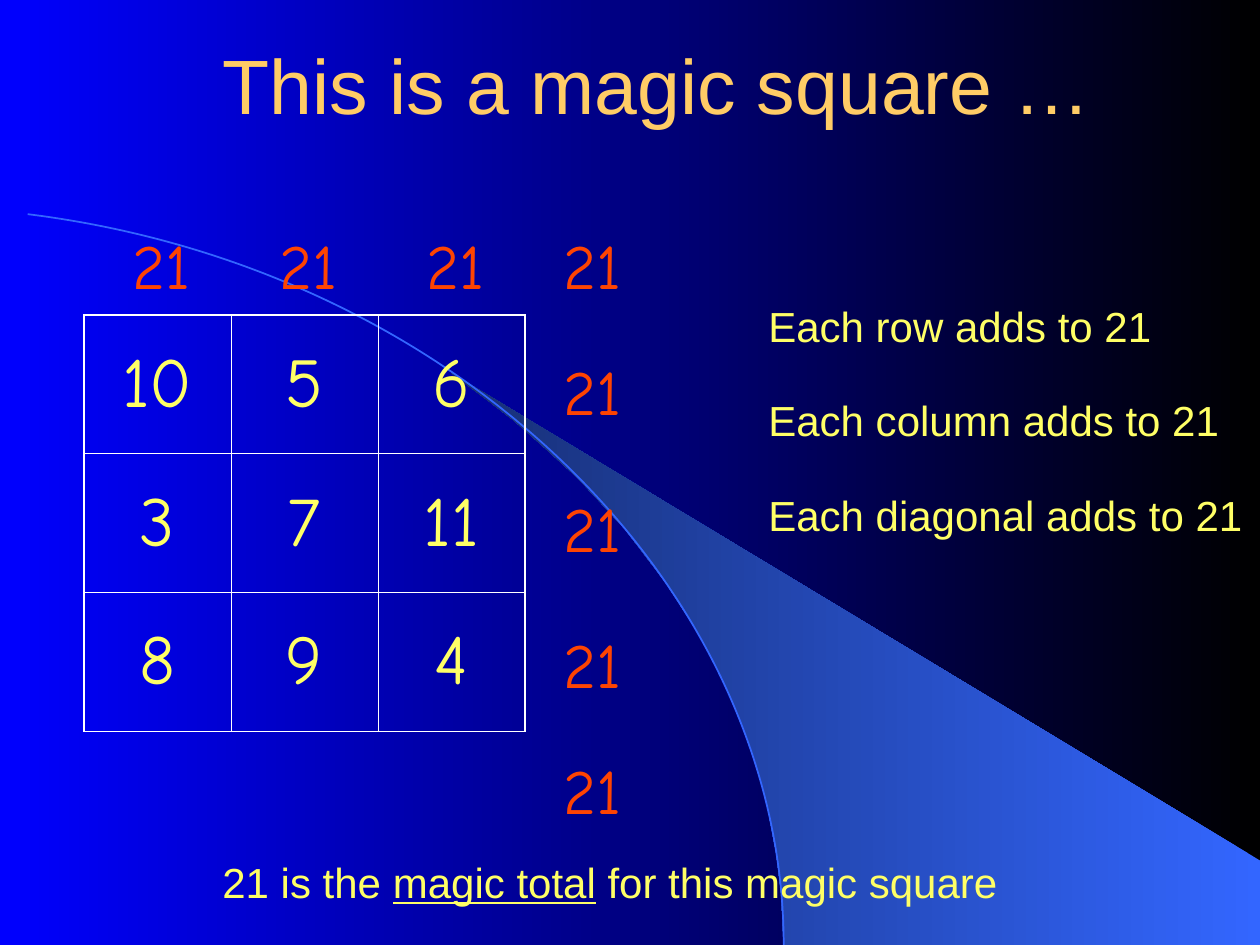
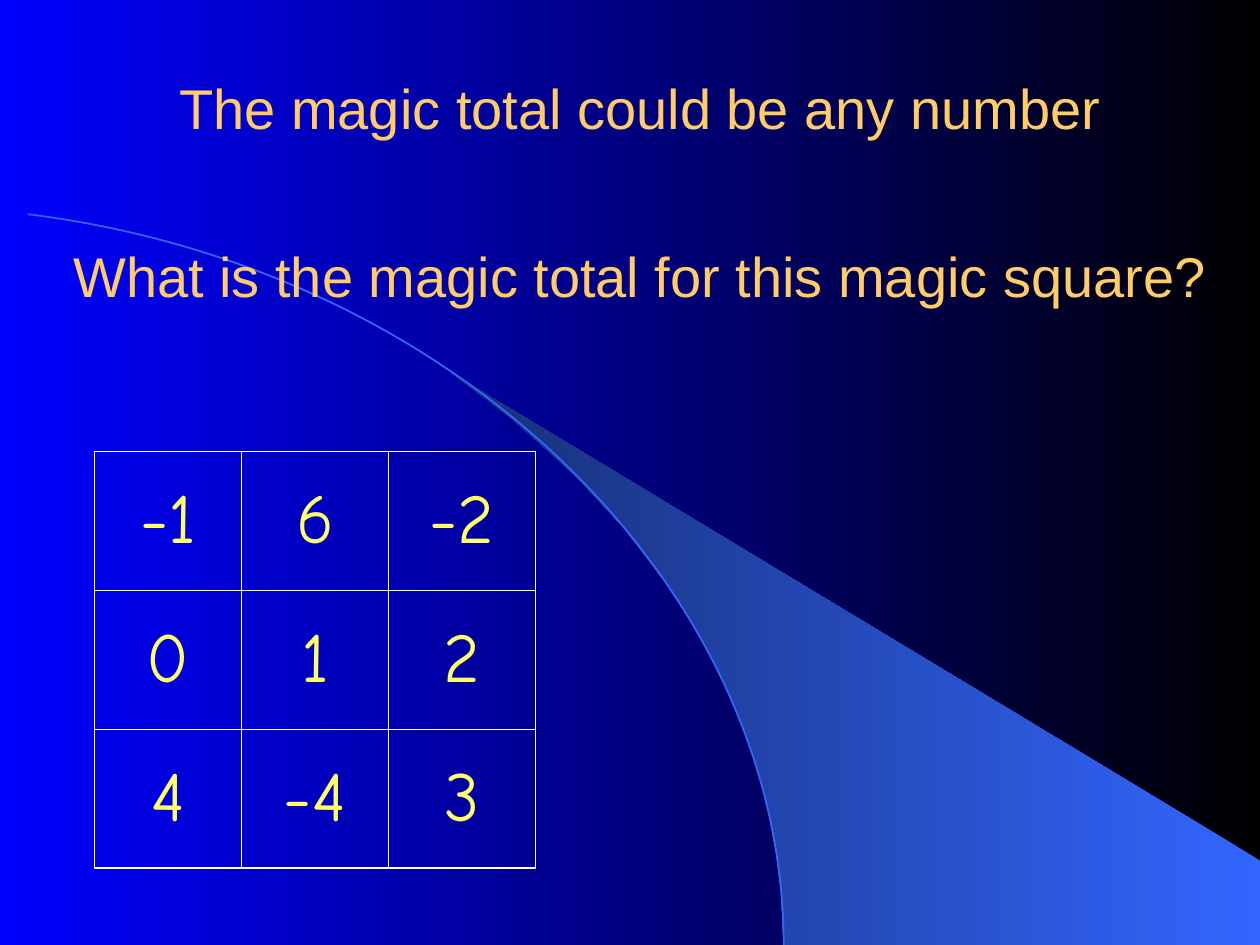
from typing import NamedTuple

from lxml import etree
from pptx import Presentation
from pptx import util as u
from pptx.dml.color import RGBColor
from pptx.enum import text as t
from pptx.oxml import ns

# Shared look
TITLE_GOLD, YELLOW, RED = "FFCC66", "FFFF66", "FE4402"
WHITE, BLACK, BLUE, SKY, NAVY = "FFFFFF", "000000", "0000FF", "3366FF", "172F75"
SANS, COMIC = "Arial", "Comic Neue"
TITLE_SIZE, SMALL_TITLE_SIZE, NOTE_SIZE, SUM_SIZE, NUMBER_SIZE = 44, 32, 24, 36, 40
OUTER_LINE, INNER_LINE = 1.08, 0.45

# The slide is a grid of 120 columns and 90 rows
SLIDE_W, SLIDE_H = u.Inches(10), u.Inches(7.5)
COLUMN, ROW = SLIDE_W / 120, SLIDE_H / 90
CELL_W, CELL_H = 14, 13.22

# Master art, in inches
BEAM = [(6.22, 7.5), (10, 7.5), (10, 6.83), (3.58, 2.96), (3.86, 3.17), (4.08, 3.34),
        (4.34, 3.57), (4.59, 3.8), (4.96, 4.2), (5.28, 4.62), (5.52, 4.99), (5.73, 5.37),
        (5.89, 5.76), (6.01, 6.1), (6.09, 6.4), (6.16, 6.77), (6.2, 7.09)]
ARC_FRAME = [(-8.49, 1.6), (6.22, 13.41)]
ARC_START, *ARC_CURVE = [(0.22, 1.7), (3.67, 2.13), (6.22, 4.7), (6.22, 7.5)]


class Area(NamedTuple):
    """A place on the slide, in grid columns and rows."""
    left: float
    top: float
    width: float
    height: float

    def emu(self) -> tuple[int, ...]:
        return tuple(round(v * step) for v, step in zip(self, (COLUMN, ROW) * 2))


class MagicSquare(NamedTuple):
    left: float
    top: float
    numbers: list[list[str]]

    def area(self) -> Area:
        return Area(self.left, self.top, 3 * CELL_W, 3 * CELL_H)


def rgb(color: str) -> RGBColor:
    return RGBColor.from_string(color)


def write(frame, content, *, size, color, font=SANS, align=t.PP_ALIGN.LEFT,
          anchor=t.MSO_ANCHOR.TOP, wrap=True, underline="") -> None:
    """Write one paragraph; the part given as underline is underlined."""
    frame.word_wrap = wrap
    frame.auto_size = t.MSO_AUTO_SIZE.NONE
    frame.vertical_anchor = anchor
    paragraph = frame.paragraphs[0]
    paragraph.alignment = align
    before, marked, after = content.partition(underline) if underline else (content, "", "")
    for part in filter(None, (before, marked, after)):
        run = paragraph.add_run()
        run.text = part
        run.font.name, run.font.size = font, u.Pt(size)
        run.font.color.rgb = rgb(color)
        if part == marked:
            run.font.underline = True


def add_text(slide, area: Area, content: str, **style) -> None:
    write(slide.shapes.add_textbox(*area.emu()).text_frame, content, **style)


def set_title(slide, area: Area, content: str, **style) -> None:
    title = slide.shapes.title
    title.left, title.top, title.width, title.height = area.emu()
    write(title.text_frame, content, color=TITLE_GOLD, anchor=t.MSO_ANCHOR.BOTTOM, **style)


def fade(fill, right: str, left: str) -> None:
    fill.gradient()
    fill.gradient_angle = 180
    for stop, color in zip(fill.gradient_stops, (right, left)):
        stop.color.rgb = rgb(color)


# Master: background, arc and light beam
def outline(slide, points, close: bool):
    start, *rest = [(u.Inches(x), u.Inches(y)) for x, y in points]
    builder = slide.shapes.build_freeform(*start)
    builder.add_line_segments(rest, close=close)
    shape = builder.convert_to_shape()
    shape.shadow.inherit = False
    return shape


def bend(shape, start, curve) -> None:
    """Replace the outline of a freeform by one Bézier curve."""
    route = shape.element.spPr.find(".//" + ns.qn("a:path"))
    for step in list(route):
        route.remove(step)
    for tag, points in (("a:moveTo", [start]), ("a:cubicBezTo", curve)):
        step = etree.SubElement(route, ns.qn(tag))
        for x, y in points:
            etree.SubElement(step, ns.qn("a:pt"), x=str(u.Inches(x) - shape.left),
                             y=str(u.Inches(y) - shape.top))


def decorate_master(prs, slide) -> None:
    """Draw the beam and arc, then hand them over to the master."""
    master = prs.slide_master
    fade(master.background.fill, BLACK, BLUE)
    beam = outline(slide, BEAM, close=True)
    fade(beam.fill, SKY, NAVY)
    beam.line.fill.background()
    arc = outline(slide, ARC_FRAME, close=False)
    bend(arc, ARC_START, ARC_CURVE)
    arc.fill.background()
    arc.line.color.rgb = rgb(SKY)
    arc.line.width = u.Pt(1)
    for k, shape in enumerate((beam, arc)):
        shape.element.nvSpPr.cNvPr.set("id", str(20 + k))
        master.element.cSld.spTree.insert(2 + k, shape.element)


# Magic squares
def set_borders(cell, row: int, col: int) -> None:
    properties = cell._tc.get_or_add_tcPr()
    outer_sides = {"L": col == 0, "R": col == 2, "T": row == 0, "B": row == 2}
    for k, (side, outer) in enumerate(outer_sides.items()):
        line = etree.Element(ns.qn(f"a:ln{side}"),
                             w=str(u.Pt(OUTER_LINE if outer else INNER_LINE)))
        solid = etree.SubElement(line, ns.qn("a:solidFill"))
        etree.SubElement(solid, ns.qn("a:srgbClr"), val=WHITE)
        properties.insert(k, line)


def add_square(slide, square: MagicSquare) -> None:
    table = slide.shapes.add_table(3, 3, *square.area().emu()).table
    table.first_row = table.horz_banding = False
    for row, numbers in enumerate(square.numbers):
        for col, number in enumerate(numbers):
            cell = table.cell(row, col)
            cell.fill.background()
            set_borders(cell, row, col)
            write(cell.text_frame, number, size=NUMBER_SIZE, color=YELLOW, font=COMIC,
                  align=t.PP_ALIGN.CENTER)
            cell.vertical_anchor = t.MSO_ANCHOR.MIDDLE


def build_example(slide) -> None:
    set_title(slide, Area(20, 0, 88, 13), "This is a magic square …", size=TITLE_SIZE)
    square = MagicSquare(8, 30, [["10", "5", "6"], ["3", "7", "11"], ["8", "9", "4"]])
    add_square(slide, square)

    # Rules beside the square
    for k, line in enumerate(("row", "column", "diagonal")):
        add_text(slide, Area(72, 28 + 9 * k, 48, 6), f"Each {line} adds to 21",
                 size=NOTE_SIZE, color=YELLOW, wrap=False)

    # Sums above the columns, then beside the rows and at the diagonals
    column_sums = [(square.left + 3.4 + CELL_W * k, 21) for k in range(3)]
    side_sums = [(52.5, top) for top in (21, 33, 46, 59, 71)]
    for left, top in column_sums + side_sums:
        add_text(slide, Area(left, top, 8, 8.4), "21",
                 size=SUM_SIZE, color=RED, font=COMIC, wrap=False)

    add_text(slide, Area(20, 81, 80, 6), "21 is the magic total for this magic square",
             size=NOTE_SIZE, color=YELLOW, underline="magic total")


def build_question(slide) -> None:
    heading = dict(size=SMALL_TITLE_SIZE, align=t.PP_ALIGN.CENTER)
    set_title(slide, Area(2, 21, 118, 9),
              "What is the magic total for this magic square?", **heading)
    add_square(slide, MagicSquare(9, 43, [["-1", "6", "-2"], ["0", "1", "2"],
                                          ["4", "-4", "3"]]))
    add_text(slide, Area(2, 5, 118, 9), "The magic total could be any number",
             color=TITLE_GOLD, anchor=t.MSO_ANCHOR.BOTTOM, **heading)


def main() -> None:
    prs = Presentation()
    prs.slide_width, prs.slide_height = SLIDE_W, SLIDE_H
    title_only = prs.slide_layouts[5]
    example, question = (prs.slides.add_slide(title_only) for _ in range(2))
    decorate_master(prs, example)
    build_example(example)
    build_question(question)
    prs.save("out.pptx")


if __name__ == "__main__":
    main()
